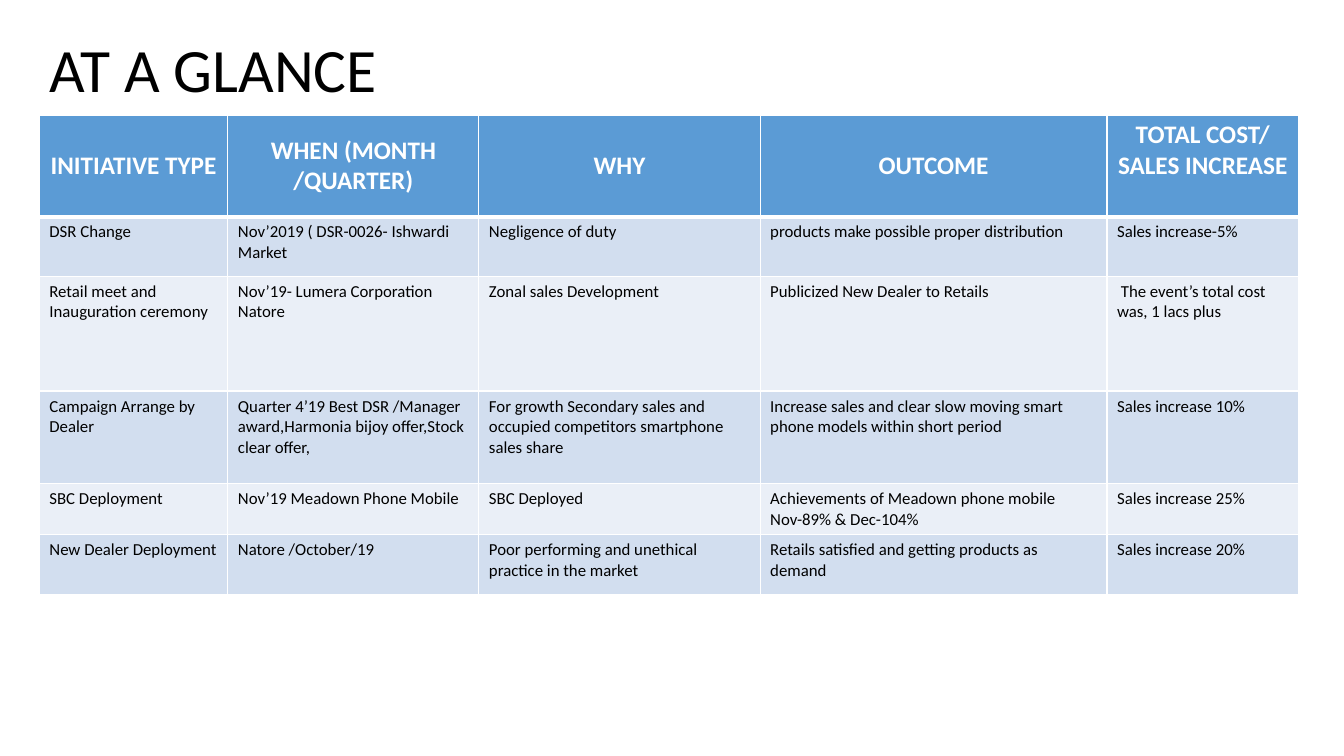
from lxml.etree import SubElement
from pptx import Presentation
from pptx.dml.color import RGBColor
from pptx.enum.text import MSO_ANCHOR, MSO_AUTO_SIZE, PP_ALIGN
from pptx.oxml.ns import qn
from pptx.util import Emu, Pt

SCALE = 9144


def px(count):
    return Emu(count * SCALE)


def color(code):
    return RGBColor.from_string(code)


class Deck:
    font = "Calibri"
    ink = "000000"
    paper = "FFFFFF"
    head = "5B9BD5"
    bands = ("EAEFF7", "D2DEEF")

    def __init__(self, wide, high):
        self.show = Presentation()
        self.show.slide_width = px(wide)
        self.show.slide_height = px(high)
        self.slide = self.show.slides.add_slide(self.show.slide_layouts[5])

    def style(self, frame, size, tint, bold=False, align=PP_ALIGN.LEFT):
        for para in frame.paragraphs:
            para.alignment = align
            for run in para.runs:
                run.font.name = self.font
                run.font.size = Pt(size)
                run.font.bold = bold
                run.font.color.rgb = color(tint)

    def title(self, text, left, top, wide, high):
        shape = self.slide.shapes.title
        shape.left, shape.top = px(left), px(top)
        shape.width, shape.height = px(wide), px(high)
        frame = shape.text_frame
        frame.text = text
        frame.auto_size = MSO_AUTO_SIZE.NONE
        frame.vertical_anchor = MSO_ANCHOR.MIDDLE
        frame.paragraphs[0].line_spacing = 0.9
        self.style(frame, 44, self.ink)

    def border(self, cell, row):
        props = cell._tc.get_or_add_tcPr()
        widths = {"L": 1, "R": 1, "T": 3 if row == 1 else 1, "B": 3 if row == 0 else 1}
        for side, width in widths.items():
            line = SubElement(props, qn(f"a:ln{side}"), w=str(Pt(width)))
            fill = SubElement(line, qn("a:solidFill"))
            SubElement(fill, qn("a:srgbClr"), val=self.paper)

    def cell(self, cell, text, row):
        self.border(cell, row)
        cell.fill.solid()
        cell.text_frame.text = text
        if row == 0:
            cell.fill.fore_color.rgb = color(self.head)
            cell.vertical_anchor = MSO_ANCHOR.TOP if "\n" in text else MSO_ANCHOR.MIDDLE
            self.style(cell.text_frame, 18, self.paper, True, PP_ALIGN.CENTER)
        else:
            cell.fill.fore_color.rgb = color(self.bands[row % 2])
            self.style(cell.text_frame, 12, self.ink)

    def table(self, data, left, top, cols, rows):
        frame = self.slide.shapes.add_table(
            len(rows), len(cols), px(left), px(top), px(sum(cols)), px(sum(rows)))
        grid = frame.table
        for col, wide in zip(grid.columns, cols):
            col.width = px(wide)
        for row, high in zip(grid.rows, rows):
            row.height = px(high)
        for r, line in enumerate(data):
            for c, text in enumerate(line):
                self.cell(grid.cell(r, c), text, r)


DATA = [
    ("INITIATIVE TYPE", "WHEN (MONTH /QUARTER)", "WHY", "OUTCOME",
     "TOTAL COST/\nSALES INCREASE"),
    ("DSR Change", "Nov’2019 ( DSR-0026- Ishwardi Market", "Negligence of duty",
     "products make possible proper distribution", "Sales increase-5%"),
    ("Retail meet and Inauguration ceremony", "Nov’19- Lumera Corporation Natore",
     "Zonal sales Development", "Publicized New Dealer to Retails",
     " The event’s total cost was, 1 lacs plus"),
    ("Campaign Arrange by Dealer",
     "Quarter 4’19 Best DSR /Manager award,Harmonia bijoy offer,Stock clear offer,",
     "For growth Secondary sales and occupied competitors smartphone sales share",
     "Increase sales and clear slow moving smart phone models within short period",
     "Sales increase 10%"),
    ("SBC Deployment", "Nov’19 Meadown Phone Mobile", "SBC Deployed",
     "Achievements of Meadown phone mobile Nov-89% & Dec-104%", "Sales increase 25%"),
    ("New Dealer Deployment", "Natore /October/19",
     "Poor performing and unethical practice in the market",
     "Retails satisfied and getting products as demand", "Sales increase 20%"),
]


def main():
    deck = Deck(1333, 750)
    deck.title("AT A GLANCE", 39, -1, 1150, 145)
    deck.table(DATA, 39, 114, (187, 249, 279, 344, 190), (101, 59, 114, 92, 50, 59))
    deck.show.save("out.pptx")


if __name__ == "__main__":
    main()
